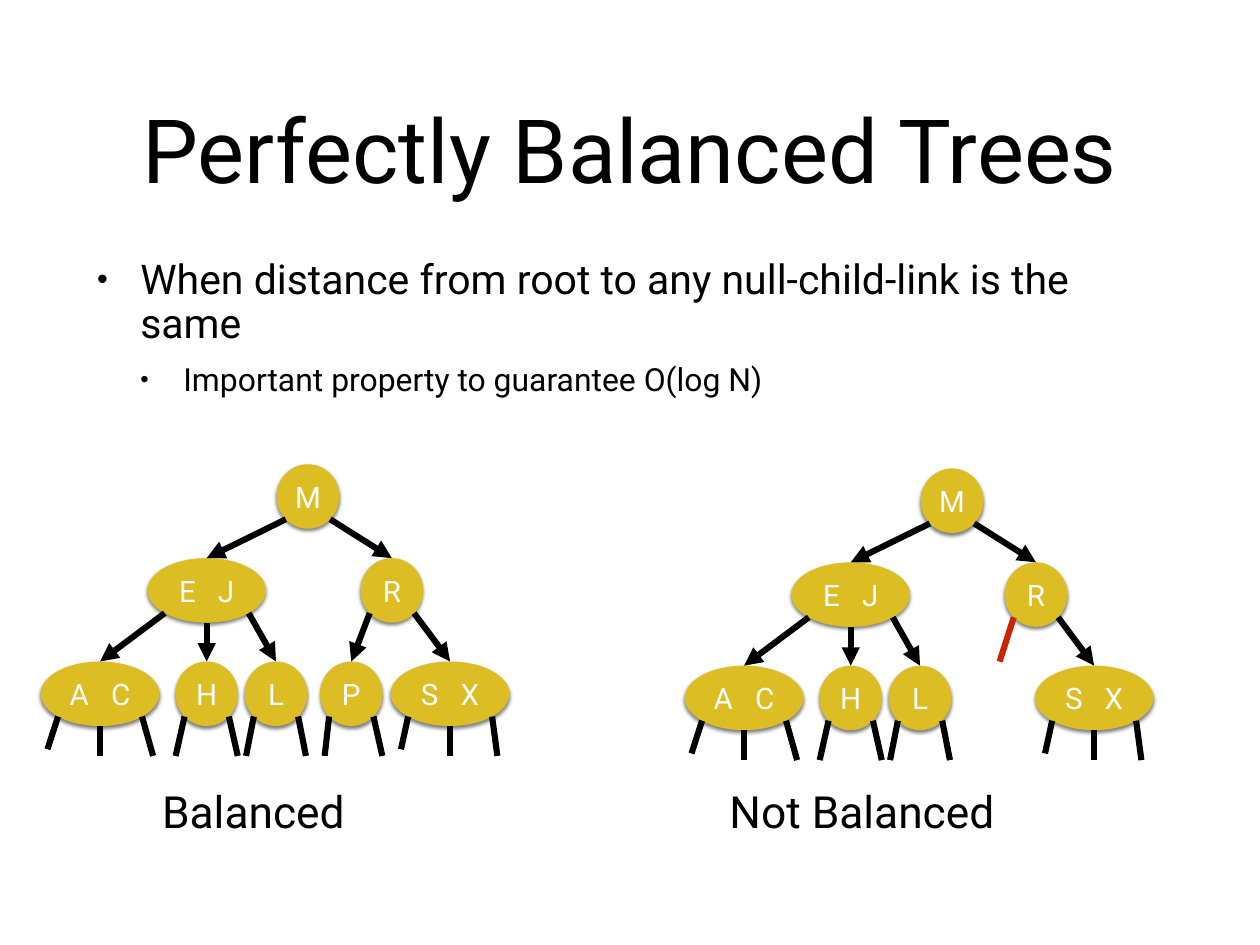
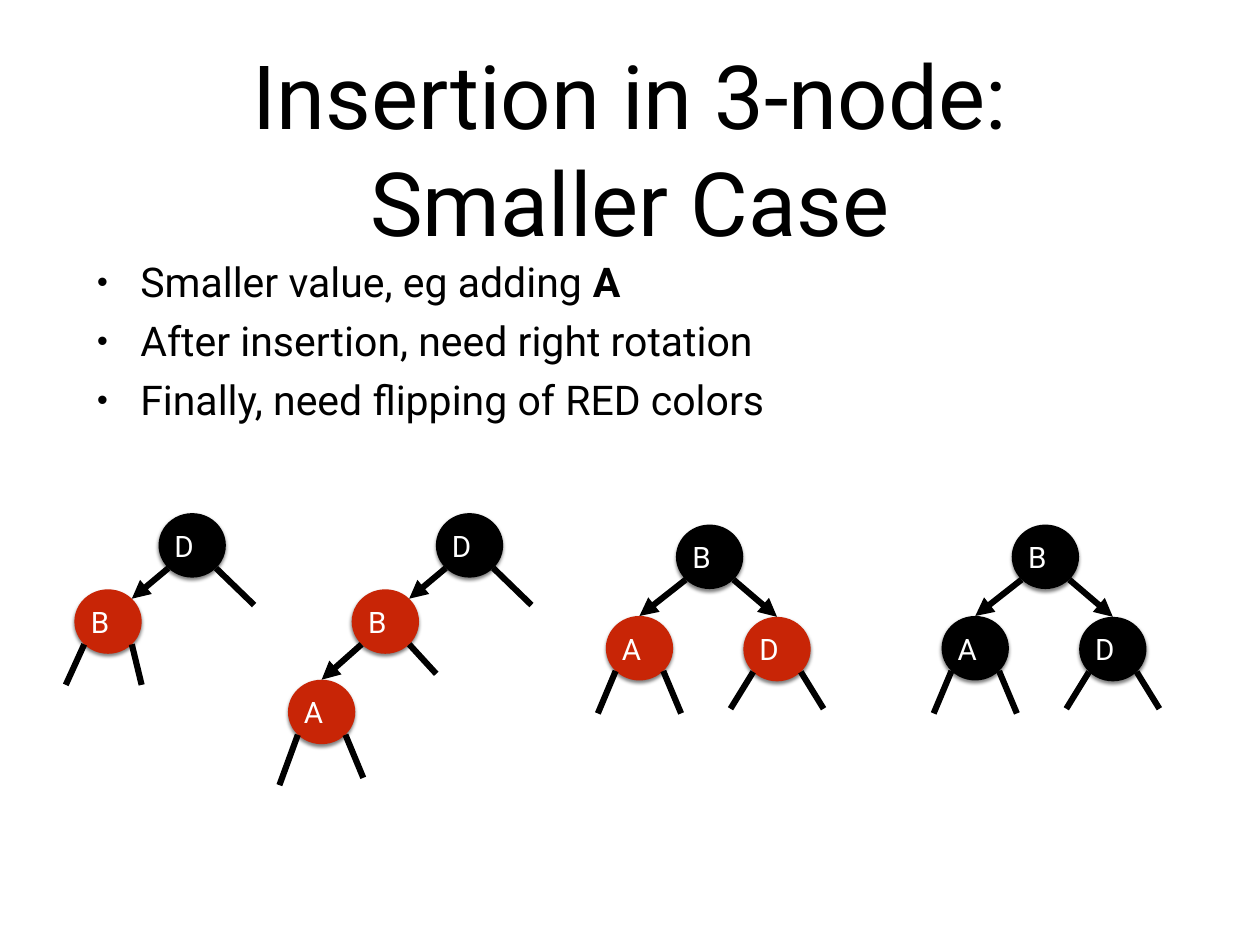
"""Build two slides on balanced search trees and insertion into a 3-node."""
from dataclasses import dataclass

from lxml import etree
from pptx import Presentation
from pptx.dml.color import RGBColor
from pptx.enum.shapes import MSO_CONNECTOR, MSO_SHAPE
from pptx.enum.text import MSO_ANCHOR, MSO_AUTO_SIZE, PP_ALIGN
from pptx.oxml.ns import qn
from pptx.util import Pt

CENTER = PP_ALIGN.CENTER
MIDDLE = MSO_ANCHOR.MIDDLE
NO_AUTOFIT = MSO_AUTO_SIZE.NONE
ELLIPSE = MSO_SHAPE.OVAL
STRAIGHT = MSO_CONNECTOR.STRAIGHT

COLORS = {"black": "000000", "white": "FFFFFF", "gold": "DCBD23", "red": "C82506"}
FONT = "Roboto"
INSET = 4
NODE_HEIGHT = 52.4
LINK_WIDTH = 5
DIAGONAL = 0.5 ** 0.5
LEFT, MID, RIGHT = -1, 0, 1
SINGLE, DOUBLE, WIDE_SINGLE = 51, 96.5, 54.7
LETTER_GAP = 6
LABEL_SHIFT = 13
BULLET_INDENT = 35
BULLET_SIZES = (33.3, 25.9)


@dataclass(frozen=True)
class Stub:
    """A null link leaving a node, as an offset from the side it leaves."""
    side: int
    across: float
    down: float
    color: str = "black"


@dataclass(frozen=True)
class Node:
    """A tree node, placed relative to the top centre of its root."""
    label: str
    x: float
    y: float
    color: str = "gold"
    width: float = SINGLE
    parent: int | None = None
    side: int = MID
    entry: int = MID
    stubs: tuple[Stub, ...] = ()
    label_shift: float = 0

    def port(self, side: int, lower: bool = True) -> tuple[float, float]:
        """Return a point on the upper or lower edge of the ellipse."""
        reach = DIAGONAL if side else 1
        direction = 1 if lower else -1
        return (self.x + side * reach * self.width / 2,
                self.y + NODE_HEIGHT / 2 * (1 + direction * reach))


@dataclass(frozen=True)
class Bullet:
    """A list item with an optional bold ending."""
    text: str
    bold_text: str = ""
    level: int = 0
    space_before: float = 12


def fan(*ends: tuple[float, float]) -> tuple[Stub, ...]:
    """Return two or three stubs, spread from left to right."""
    sides = (LEFT, RIGHT) if len(ends) == 2 else (LEFT, MID, RIGHT)
    return tuple(Stub(side, *end) for side, end in zip(sides, ends))


def letter_tree(balanced: bool) -> list[Node]:
    """Return the tree of letters, with or without the leaf P."""
    missing = () if balanced else (Stub(LEFT, -11.5, 36, "red"),)
    nodes = [
        Node("M", 0, 0),
        Node("E J", -82.3, 76.3, width=DOUBLE, parent=0, side=LEFT),
        Node("R", 68.2, 76.3, parent=0, side=RIGHT, stubs=missing),
        Node("A C", -169, 160.3, width=DOUBLE, parent=1, side=LEFT,
             stubs=fan((-8.6, 26.6), (0, 24.5), (9, 32))),
        Node("H", -82.3, 160.3, parent=1, stubs=fan((-7.2, 32), (7.2, 32))),
        Node("L", -26, 160.3, parent=1, side=RIGHT, stubs=fan((-6.3, 32), (6.3, 32))),
        Node("S X", 115.5, 160.3, width=DOUBLE, parent=2, side=RIGHT,
             stubs=fan((-5.8, 26.6), (0, 24.5), (4.3, 32))),
    ]
    if balanced:
        nodes.append(Node("P", 35.2, 160.3, parent=2, side=LEFT,
                          stubs=fan((-3.6, 32), (7.2, 32))))
    return nodes


def colored_node(label: str, x: float, y: float, color: str, **links) -> Node:
    """Return a node of the red and black trees."""
    return Node(label, x, y, color, WIDE_SINGLE, label_shift=LABEL_SHIFT, **links)


def left_tree(inserted: bool) -> list[Node]:
    """Return the left-leaning tree before or after A is inserted."""
    below = (Stub(RIGHT, 22, 24),) if inserted else fan((-15, 33), (8, 33))
    nodes = [
        colored_node("D", 0, 0, "black", stubs=(Stub(RIGHT, 31, 30),)),
        colored_node("B", -68.4, 61.9, "red", parent=0, side=LEFT, entry=RIGHT,
                     stubs=below),
    ]
    if inserted:
        nodes.append(colored_node("A", -120.2, 135.4, "red", parent=1, side=LEFT,
                                  stubs=fan((-15, 41), (14.5, 35))))
    return nodes


def rotated_tree(child_color: str) -> list[Node]:
    """Return the rotated tree with children of the given colour."""
    return [
        colored_node("B", 0, 0, "black"),
        colored_node("A", -57, 74.3, child_color, parent=0, side=LEFT,
                     stubs=fan((-14.5, 34.5), (14.5, 34.5))),
        colored_node("D", 54.8, 75, child_color, parent=0, side=RIGHT,
                     stubs=fan((-18.5, 30), (18.5, 30))),
    ]


def rgb(color: str) -> RGBColor:
    """Return a named colour."""
    return RGBColor.from_string(COLORS[color])


def style_run(run, size: float, color: str = "black") -> None:
    """Apply the shared font to a run."""
    run.font.name = FONT
    run.font.size = Pt(size)
    run.font.color.rgb = rgb(color)


def style_frame(text_frame, wrap: bool = True) -> None:
    """Apply the shared margins and anchor to a text frame."""
    text_frame.word_wrap = wrap
    text_frame.auto_size = NO_AUTOFIT
    text_frame.vertical_anchor = MIDDLE
    for edge in ("left", "top", "right", "bottom"):
        setattr(text_frame, f"margin_{edge}", Pt(INSET))


def place(shape, left: float, top: float, width: float, height: float) -> None:
    """Move and size a shape."""
    shape.left, shape.top = Pt(left), Pt(top)
    shape.width, shape.height = Pt(width), Pt(height)


def add_centered_text(text_frame, text: str, size: float) -> None:
    """Write one centred line in the shared style."""
    text_frame.text = text
    paragraph = text_frame.paragraphs[0]
    paragraph.alignment = CENTER
    style_run(paragraph.runs[0], size)


def add_bullet(paragraph, bullet: Bullet) -> None:
    """Write one bulleted paragraph."""
    paragraph.text = bullet.text
    paragraph.level = bullet.level
    paragraph.line_spacing = 0.9
    paragraph.space_before = Pt(bullet.space_before)
    if bullet.bold_text:
        bold_run = paragraph.add_run()
        bold_run.text = bullet.bold_text
        bold_run.font.bold = True
    for run in paragraph.runs:
        style_run(run, BULLET_SIZES[bullet.level])
    properties = paragraph._p.get_or_add_pPr()
    properties.set("marL", str(Pt(BULLET_INDENT * (bullet.level + 1))))
    properties.set("indent", str(-Pt(BULLET_INDENT)))
    etree.SubElement(properties, qn("a:buSzPct"), val="75000")
    etree.SubElement(properties, qn("a:buChar"), char="•")


def add_content_slide(presentation, title: str, bullets: list[Bullet], body_height: float):
    """Add a slide with a title and a list."""
    slide = presentation.slides.add_slide(presentation.slide_layouts[1])
    title_shape, body = slide.shapes.title, slide.placeholders[1]
    place(title_shape, 75, 35, 874, 170)
    place(body, 75, 205, 874, body_height)
    style_frame(title_shape.text_frame)
    style_frame(body.text_frame)
    add_centered_text(title_shape.text_frame, title, 72)
    for index, bullet in enumerate(bullets):
        text_frame = body.text_frame
        add_bullet(text_frame.add_paragraph() if index else text_frame.paragraphs[0], bullet)
    return slide


def add_caption(slide, text: str, left: float, width: float) -> None:
    """Add the caption below a tree."""
    caption = slide.shapes.add_textbox(Pt(left), Pt(633), Pt(width), Pt(52))
    style_frame(caption.text_frame, wrap=False)
    add_centered_text(caption.text_frame, text, 36)


def add_node(slide, node: Node, root_x: float, root_y: float) -> None:
    """Draw a node with its label and soft shadow."""
    shape = slide.shapes.add_shape(
        ELLIPSE, Pt(root_x + node.x - node.width / 2), Pt(root_y + node.y),
        Pt(node.width), Pt(NODE_HEIGHT))
    shape.fill.solid()
    shape.fill.fore_color.rgb = rgb(node.color)
    shape.line.fill.background()
    shape.shadow.inherit = False
    effects = shape._element.spPr.find(qn("a:effectLst"))
    shadow = etree.SubElement(effects, qn("a:outerShdw"), blurRad=str(Pt(3)),
                              dist=str(Pt(2)), dir="5400000", rotWithShape="0")
    shade = etree.SubElement(shadow, qn("a:srgbClr"), val=COLORS["black"])
    etree.SubElement(shade, qn("a:alpha"), val="50000")

    text_frame = shape.text_frame
    style_frame(text_frame)
    text_frame.margin_right = Pt(INSET + node.label_shift)
    paragraph = text_frame.paragraphs[0]
    paragraph.alignment = CENTER
    for text in filter(None, (node.label[:-1], node.label[-1])):
        run = paragraph.add_run()
        run.text = text
        style_run(run, 24, "white")
        if len(text) > 1:
            run.font._element.set("spc", str(LETTER_GAP * 100))


def add_link(slide, start: tuple[float, float], end: tuple[float, float],
             color: str = "black", arrow: bool = False) -> None:
    """Draw a link, with an arrowhead if it leads to a node."""
    connector = slide.shapes.add_connector(STRAIGHT, *(Pt(value) for value in (*start, *end)))
    connector.line.width = Pt(LINK_WIDTH)
    connector.line.color.rgb = rgb(color)
    if arrow:
        etree.SubElement(connector.line._get_or_add_ln(), qn("a:tailEnd"), type="triangle")
    etree.SubElement(connector._element.spPr, qn("a:effectLst"))


def add_tree(slide, nodes: list[Node], root_x: float, root_y: float) -> None:
    """Draw all nodes of a tree, then its links."""
    def shifted(point: tuple[float, float]) -> tuple[float, float]:
        return root_x + point[0], root_y + point[1]

    for node in nodes:
        add_node(slide, node, root_x, root_y)
    for node in nodes:
        if node.parent is not None:
            add_link(slide, shifted(nodes[node.parent].port(node.side)),
                     shifted(node.port(node.entry, lower=False)), arrow=True)
        for stub in node.stubs:
            x, y = shifted(node.port(stub.side))
            add_link(slide, (x, y), (x + stub.across, y + stub.down), stub.color)


def main() -> None:
    """Build and save the presentation."""
    presentation = Presentation()
    presentation.slide_width, presentation.slide_height = Pt(1024), Pt(768)

    slide = add_content_slide(presentation, "Perfectly Balanced Trees", [
        Bullet("When distance from root to any null-child-link is the same", space_before=42),
        Bullet("Important property to guarantee O(log N)", level=1, space_before=13),
    ], 124)
    add_caption(slide, "Balanced", 126, 160)
    add_caption(slide, "Not Balanced", 587.5, 226)
    add_tree(slide, letter_tree(balanced=True), 250.3, 377.3)
    add_tree(slide, letter_tree(balanced=False), 773.7, 380.7)

    slide = add_content_slide(presentation, "Insertion in 3-node: Smaller Case", [
        Bullet("Smaller value, eg adding ", bold_text="A"),
        Bullet("After insertion, need right rotation"),
        Bullet("Finally, need flipping of RED colors"),
    ], 148)
    add_tree(slide, left_tree(inserted=False), 156.2, 417)
    add_tree(slide, left_tree(inserted=True), 381.6, 417)
    add_tree(slide, rotated_tree("red"), 576.7, 426.3)
    add_tree(slide, rotated_tree("black"), 849.6, 426.3)

    presentation.save("out.pptx")


if __name__ == "__main__":
    main()
